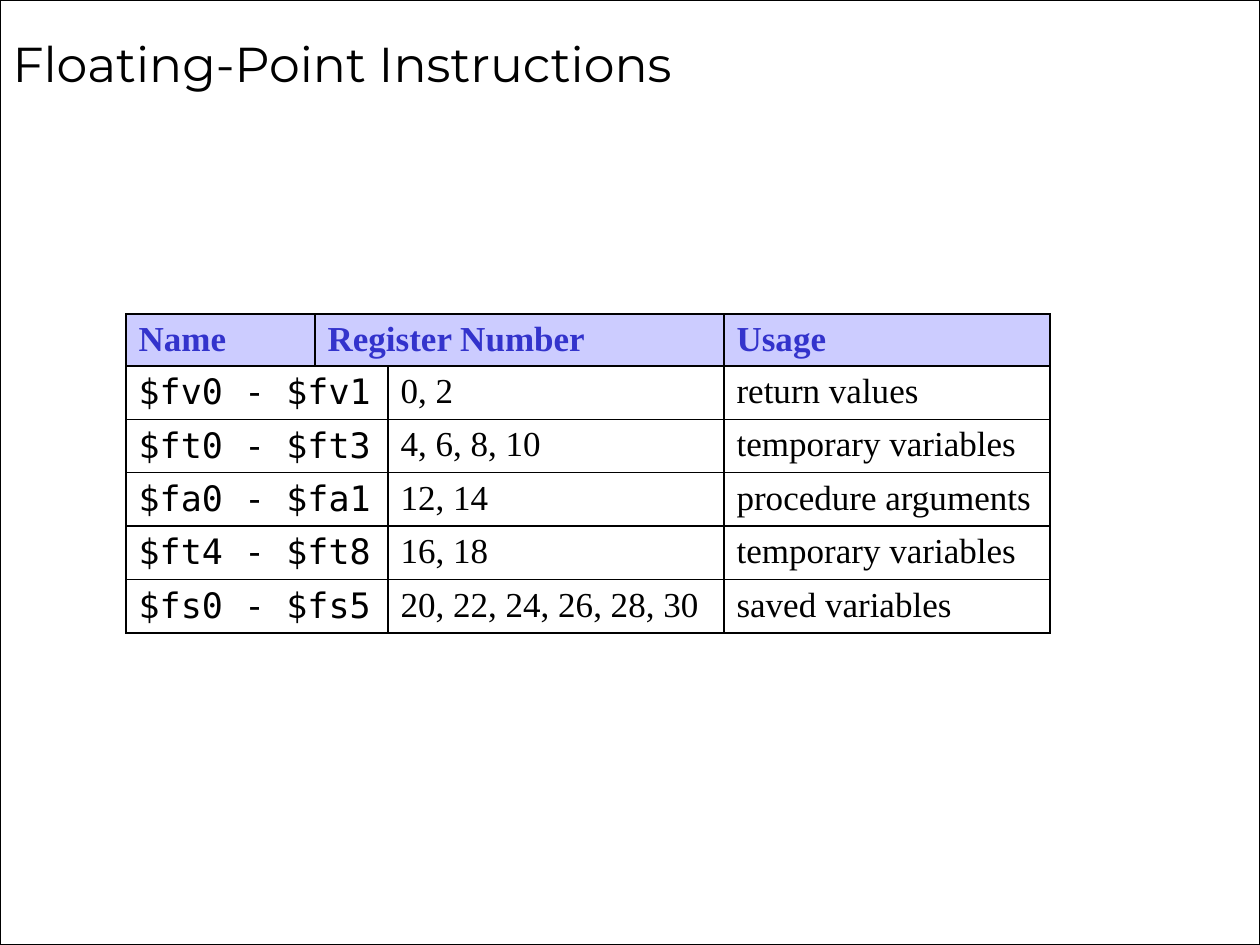
from lxml import etree
from pptx import Presentation
from pptx.dml.color import RGBColor
from pptx.enum.shapes import MSO_SHAPE
from pptx.enum.text import MSO_ANCHOR, MSO_AUTO_SIZE, PP_ALIGN
from pptx.oxml.ns import qn
from pptx.util import Emu, Pt

RECTANGLE = MSO_SHAPE.RECTANGLE
MIDDLE = MSO_ANCHOR.MIDDLE
TOP = MSO_ANCHOR.TOP
NO_AUTOFIT = MSO_AUTO_SIZE.NONE
LEFT = PP_ALIGN.LEFT

PX_PER_INCH = 126
PAGE_SIZE = (1260, 945)
COLORS = {"black": "000000", "heading": "3333CC", "header_fill": "CCCCFF"}
TITLE_FONT = {"name": "Montserrat", "size": Pt(28), "bold": False}
BODY_FONT = {"name": "Times New Roman", "size": Pt(20), "bold": False}
HEADER_FONT = {**BODY_FONT, "bold": True}
CODE_FONT = {**BODY_FONT, "name": "DejaVu Sans Mono"}

COLUMN_WIDTHS = [189, 73, 336, 326]
HEADER_HEIGHT = 52
ROW_HEIGHT = 53
HEADINGS = ["Name", "Register Number", "Usage"]
REGISTERS = [
    ["$fv0 - $fv1", "0, 2", "return values"],
    ["$ft0 - $ft3", "4, 6, 8, 10", "temporary variables"],
    ["$fa0 - $fa1", "12, 14", "procedure arguments"],
    ["$ft4 - $ft8", "16, 18", "temporary variables"],
    ["$fs0 - $fs5", "20, 22, 24, 26, 28, 30", "saved variables"],
]


def px(length):
    return Emu(round(length * 914400 / PX_PER_INCH))


def color(name):
    return RGBColor.from_string(COLORS[name])


class SlideBuilder:
    def __init__(self, deck):
        self.page = deck.slides.add_slide(deck.slide_layouts[5])

    def add_text(self, frame, text, font, color_name):
        para = frame.paragraphs[0]
        para.alignment = LEFT
        span = para.add_run()
        span.text = text
        for name, value in font.items():
            setattr(span.font, name, value)
        span.font.color.rgb = color(color_name)
        return para

    def title(self, text, left, top, width, height):
        box = self.page.shapes.title
        place = {"left": left, "top": top, "width": width, "height": height}
        for name, value in place.items():
            setattr(box, name, px(value))
        frame = box.text_frame
        frame.auto_size = NO_AUTOFIT
        frame.vertical_anchor = MIDDLE
        self.add_text(frame, text, TITLE_FONT, "black")

    def border(self):
        box = self.page.shapes.add_shape(RECTANGLE, 0, 0, *map(px, PAGE_SIZE))
        box.shadow.inherit = False
        box.fill.background()
        box.line.color.rgb = color("black")
        box.line.width = Pt(0.75)
        self.page.shapes.title.element.addprevious(box.element)

    def cell_borders(self, cell):
        properties = cell._tc.get_or_add_tcPr()
        for side in ("lnL", "lnR", "lnT", "lnB"):
            line = etree.SubElement(properties, qn(f"a:{side}"), w=str(Pt(1)))
            fill = etree.SubElement(line, qn("a:solidFill"))
            etree.SubElement(fill, qn("a:srgbClr"), val=COLORS["black"])

    def cell_text(self, cell, text, font, color_name):
        cell.vertical_anchor = TOP
        para = self.add_text(cell.text_frame, text, font, color_name)
        indent = px(48)
        properties = para._p.get_or_add_pPr()
        properties.set("marL", str(indent))
        properties.set("indent", str(-indent))

    def register_table(self, left, top):
        heights = [HEADER_HEIGHT] + [ROW_HEIGHT] * len(REGISTERS)
        table = self.page.shapes.add_table(
            len(heights), len(COLUMN_WIDTHS), px(left), px(top),
            px(sum(COLUMN_WIDTHS)), px(sum(heights))).table
        table.first_row = False
        table.horz_banding = False
        for column, width in zip(table.columns, COLUMN_WIDTHS):
            column.width = px(width)
        for row, height in zip(table.rows, heights):
            row.height = px(height)

        for row_index, texts in enumerate([HEADINGS] + REGISTERS):
            is_header = row_index == 0
            for cell in table.rows[row_index].cells:
                self.cell_borders(cell)
                if is_header:
                    cell.fill.solid()
                    cell.fill.fore_color.rgb = color("header_fill")
                else:
                    cell.fill.background()
            merge_start = 1 if is_header else 0
            table.cell(row_index, merge_start).merge(
                table.cell(row_index, merge_start + 1))
            columns = [0, 1, 3] if is_header else [0, 2, 3]
            fonts = [HEADER_FONT] * 3 if is_header else [CODE_FONT, BODY_FONT, BODY_FONT]
            color_name = "heading" if is_header else "black"
            for column, text, font in zip(columns, texts, fonts):
                self.cell_text(table.cell(row_index, column), text, font, color_name)


def main():
    deck = Presentation()
    deck.slide_width, deck.slide_height = map(px, PAGE_SIZE)
    slide = SlideBuilder(deck)
    slide.border()
    slide.title("Floating-Point Instructions", 0, 10, 1260, 105)
    slide.register_table(126, 314)
    deck.save("out.pptx")


if __name__ == "__main__":
    main()
